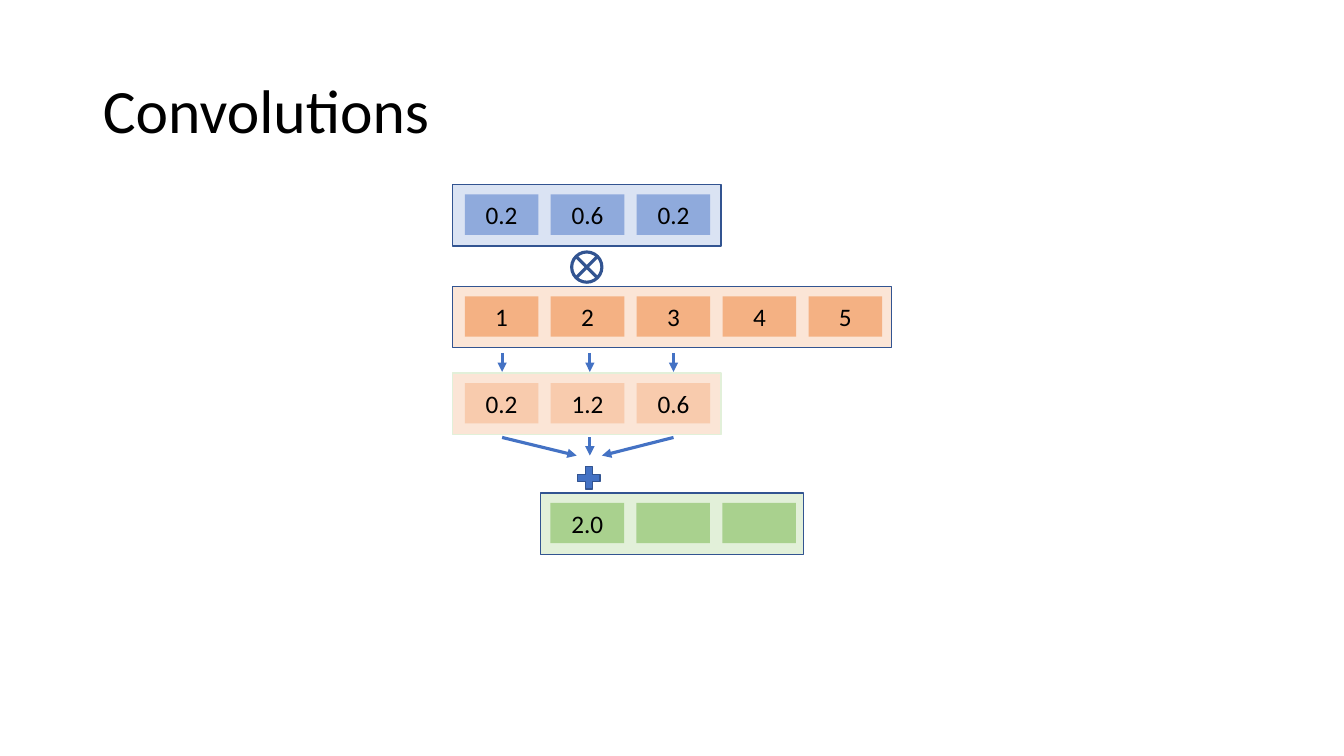
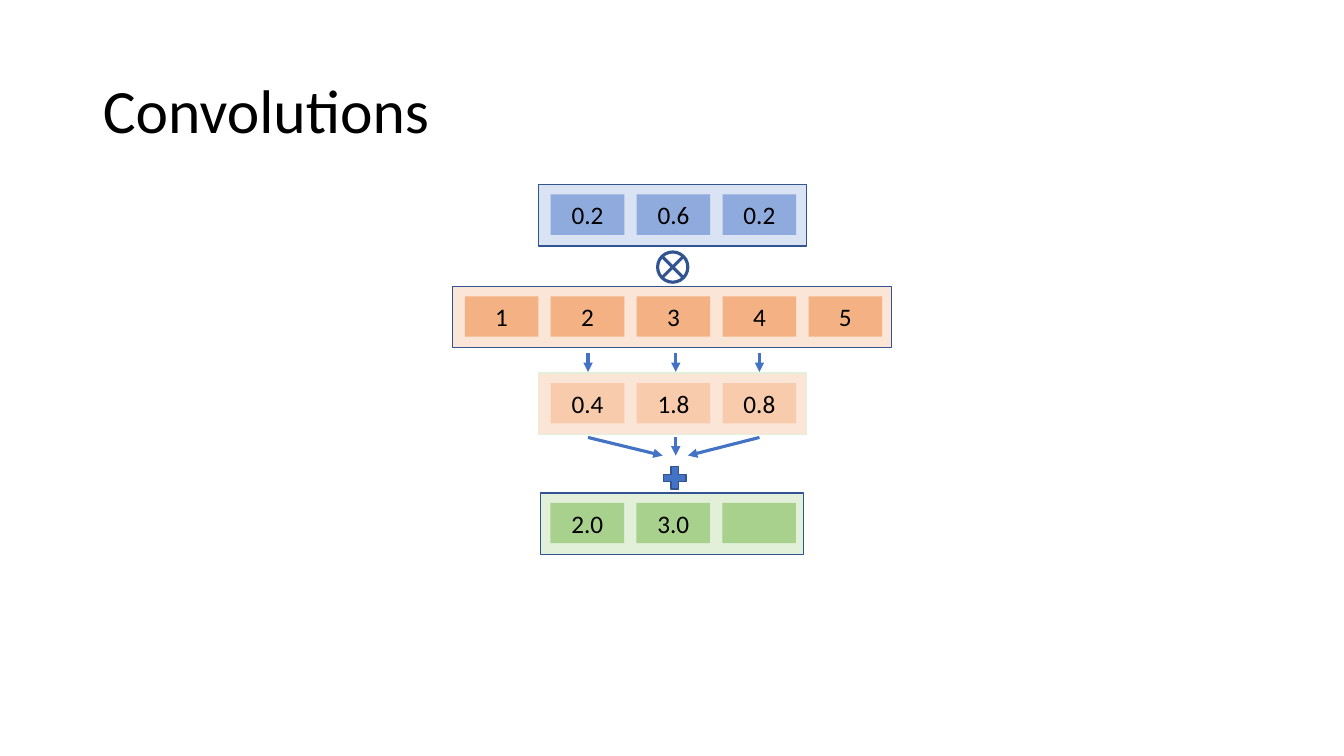
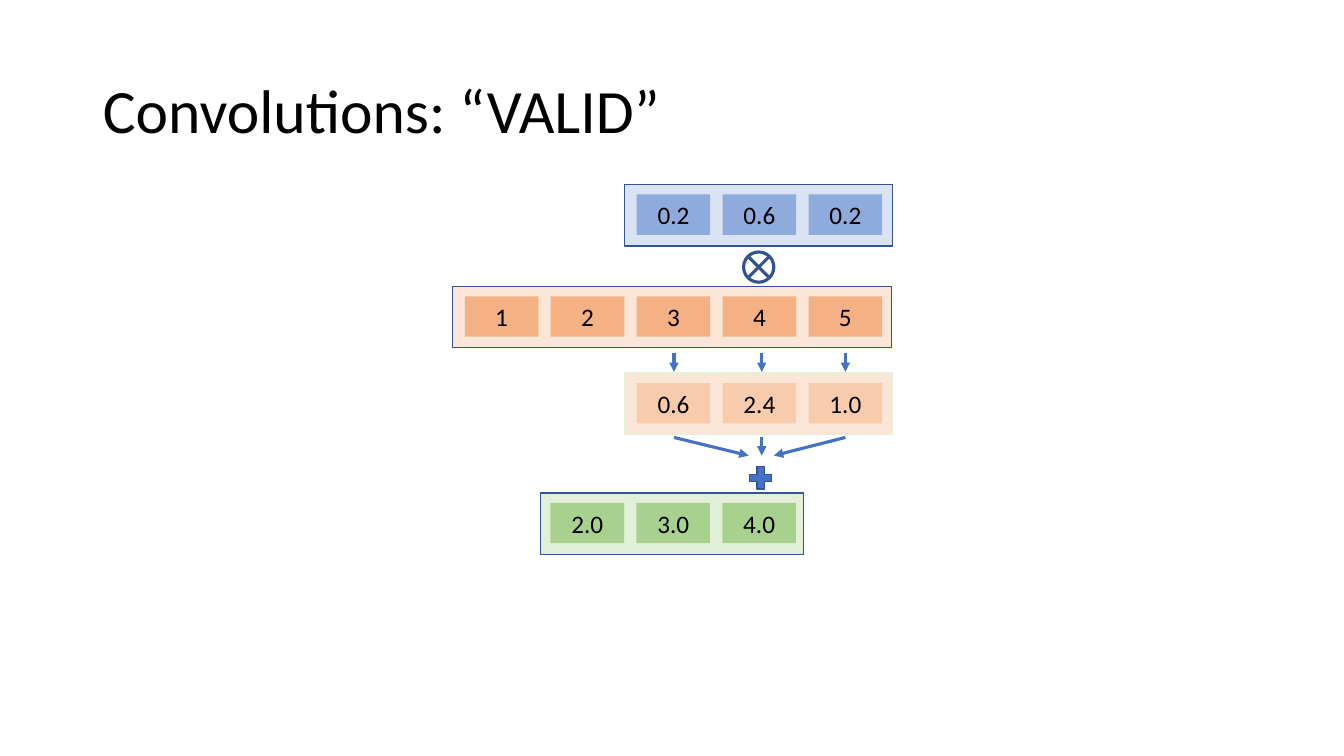
from lxml import etree
from pptx import Presentation
from pptx.dml.color import RGBColor
from pptx.enum import shapes, text
from pptx.oxml.ns import qn
from pptx.util import Inches, Pt

TITLES = ["Convolutions", "Convolutions", "Convolutions: “VALID”"]
KERNEL = [0.2, 0.6, 0.2]
SIGNAL = [1, 2, 3, 4, 5]

FONT = "Calibri"
BLACK, NAVY, BLUE = "000000", "325491", "4472C4"
# Each row: top, band left, first cell left, band width, band fill, band line, cell fill
ROWS = {
    "kernel": (1.83, 4.49, 4.61, 2.66, "DAE3F3", NAVY, "8FAADC"),
    "signal": (2.84, 4.49, 4.61, 4.35, "FBE5D6", NAVY, "F4B183"),
    "products": (3.7, 4.49, 4.61, 2.66, "FBE5D6", "E2F0D9", "F8CBAD"),
    "result": (4.89, 5.36, 5.46, 2.61, "E2F0D9", NAVY, "A9D18E"),
}
BAND_H, CELL_W, CELL_H, CELL_INSET = 0.61, 0.73, 0.4, 0.1
PITCH = 3.41 / 4
# Arrow ends, for the kernel at its first position
DOWN_X = [4.98, 5.85, 6.68]
SUM_X = [5.72, 5.85, 5.97]
DOWN_Y, SUM_Y = (3.5, 3.69), (4.34, 4.52)


def color(value):
    return RGBColor.from_string(value)


def set_font(run, size):
    for name, value in {"name": FONT, "size": Pt(size)}.items():
        setattr(run.font, name, value)
    run.font.color.rgb = color(BLACK)


def add_box(parent, kind, place, fill=None, line=None, width=1):
    sp = parent.shapes.add_shape(kind, *map(Inches, place))
    sp.shadow.inherit = False
    if fill:
        sp.fill.solid()
        sp.fill.fore_color.rgb = color(fill)
    else:
        sp.fill.background()
    if line:
        sp.line.color.rgb = color(line)
        sp.line.width = Pt(width)
    else:
        sp.line.fill.background()
    return sp


def add_row(parent, name, labels, shift=0):
    """Draw a band with one cell for each label."""
    top, left, first, width, band, edge, fill = ROWS[name]
    rect = shapes.MSO_SHAPE.RECTANGLE
    add_box(parent, rect, (left + shift, top, width, BAND_H), band, edge)
    for i, label in enumerate(labels):
        place = (first + shift + i * PITCH, top + CELL_INSET, CELL_W, CELL_H)
        sp = add_box(parent, rect, place, fill)
        if label:
            p = sp.text_frame.paragraphs[0]
            p.alignment = text.PP_ALIGN.CENTER
            r = p.add_run()
            r.text = label
            set_font(r, 18)


def add_arrow(parent, x1, y1, x2, y2):
    line = parent.shapes.add_connector(
        shapes.MSO_CONNECTOR.STRAIGHT, *map(Inches, (x1, y1, x2, y2)))
    line.line.color.rgb = color(BLUE)
    line.line.width = Pt(2.25)
    etree.SubElement(line.line._get_or_add_ln(), qn("a:tailEnd"), type="triangle")
    etree.SubElement(line._element.spPr, qn("a:effectLst"))


def add_title(slide, title):
    sp = slide.shapes.title
    place = {"left": 0.92, "top": 0.4, "width": 11.5, "height": 1.45}
    for name, value in place.items():
        setattr(sp, name, Inches(value))
    sp.text_frame.vertical_anchor = text.MSO_ANCHOR.MIDDLE
    p = sp.text_frame.paragraphs[0]
    p.alignment = text.PP_ALIGN.LEFT
    p.line_spacing = 0.9
    r = p.add_run()
    r.text = title
    set_font(r, 44)


def add_step(slide, step):
    """Draw the convolution with the kernel moved right by some cells."""
    shift = step * PITCH
    products = [[k * s for k, s in zip(KERNEL, SIGNAL[i:])]
                for i in range(len(SIGNAL) - len(KERNEL) + 1)]
    sums = [f"{sum(row):.1f}" if i <= step else ""
            for i, row in enumerate(products)]

    add_row(slide.shapes.add_group_shape(), "signal", map(str, SIGNAL))
    add_row(slide.shapes.add_group_shape(), "result", sums)

    window = slide.shapes.add_group_shape()
    add_row(window, "kernel", map(str, KERNEL), shift)
    add_row(window, "products", [f"{v:.1f}" for v in products[step]], shift)
    add_box(window, shapes.MSO_SHAPE.FLOWCHART_SUMMING_JUNCTION,
            (5.67 + shift, 2.5, 0.3, 0.3), None, NAVY, 2.25)
    add_box(window, shapes.MSO_SHAPE.MATH_PLUS,
            (5.69 + shift, 4.59, 0.3, 0.3), BLUE, NAVY)
    for x, sum_x in zip(DOWN_X, SUM_X):
        for end_x, (y1, y2) in ((x, DOWN_Y), (sum_x, SUM_Y)):
            add_arrow(window, x + shift, y1, end_x + shift, y2)


def main():
    prs = Presentation()
    prs.slide_width, prs.slide_height = Inches(13.33), Inches(7.5)
    for step, title in enumerate(TITLES):
        slide = prs.slides.add_slide(prs.slide_layouts.get_by_name("Title Only"))
        add_title(slide, title)
        add_step(slide, step)
    prs.save("out.pptx")


if __name__ == "__main__":
    main()
